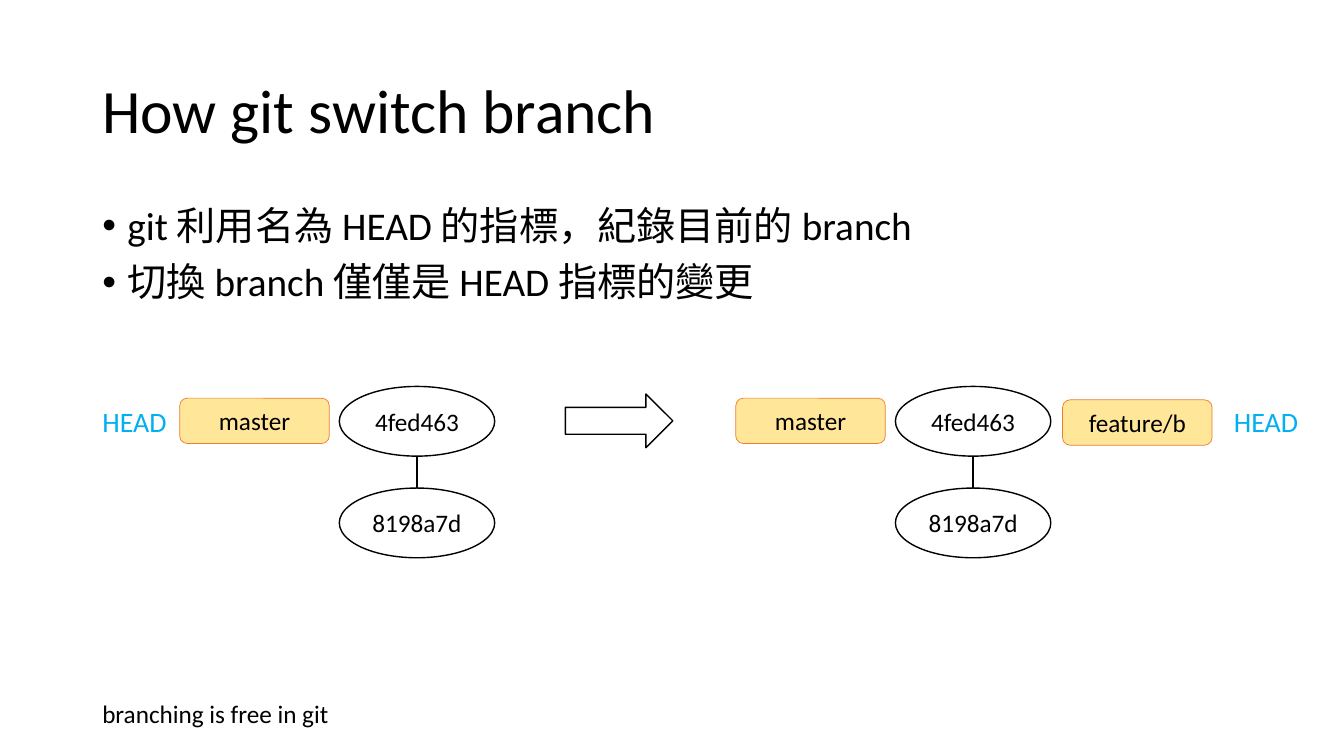
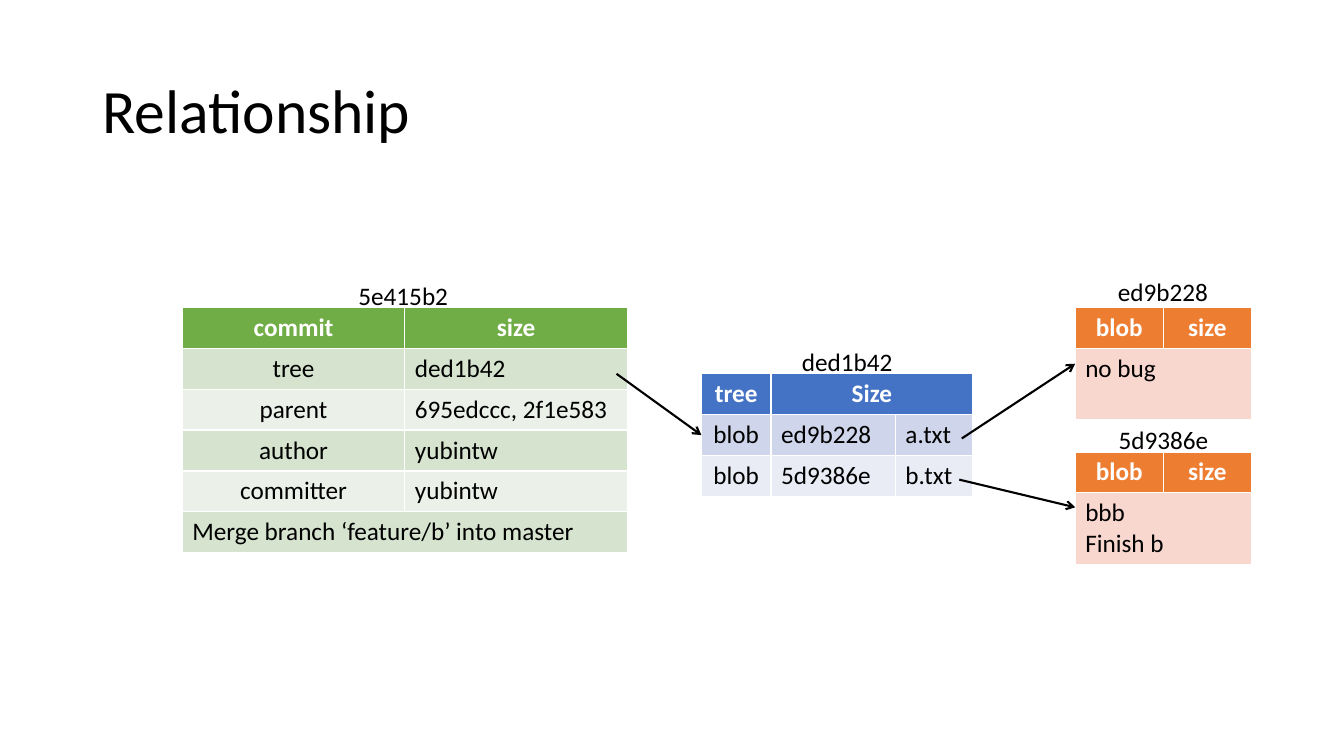
from lxml import etree
from pptx import Presentation
from pptx import util as u
from pptx.dml.color import RGBColor
from pptx.enum import shapes, text
from pptx.oxml import ns

# Both slides use a grid of 160 columns by 90 rows, twelve cells to the inch.
CELL = u.Inches(1) / 12
BLACK, WHITE, CYAN = "000000", "FFFFFF", "00B0F0"
YELLOW, ORANGE, GREEN, BLUE = "FFE699", "ED7D31", "70AD47", "4472C4"
MARGIN = 11
CENTER, LEFT = text.PP_ALIGN.CENTER, text.PP_ALIGN.LEFT
MIDDLE, TOP = text.MSO_ANCHOR.MIDDLE, text.MSO_ANCHOR.TOP
colour = RGBColor.from_string


def write(frame, content, size=18, ink=BLACK, bold=False, alignment=LEFT):
    """Fill a text frame with one paragraph for each line of content."""
    for index, line in enumerate(content.split("\n")):
        paragraph = frame.add_paragraph() if index else frame.paragraphs[0]
        paragraph.alignment = alignment
        run = paragraph.add_run()
        run.text = line
        run.font.color.rgb = colour(ink)
        for name, value in {"name": "Calibri", "size": u.Pt(size), "bold": bold}.items():
            setattr(run.font, name, value)


def add_line(slide, start, end, arrow=False):
    ends = [round(n * CELL) for n in (*start, *end)]
    connector = slide.shapes.add_connector(shapes.MSO_CONNECTOR.STRAIGHT, *ends)
    connector.line.color.rgb = colour(BLACK)
    connector.line.width = u.Pt(1.5)
    if arrow:
        outline = connector.line._get_or_add_ln()
        etree.SubElement(outline, ns.qn("a:tailEnd"), type="arrow")
    etree.SubElement(connector._element.spPr, ns.qn("a:effectLst"))


presentation = Presentation()
presentation.slide_width = round(160 * CELL)
presentation.slide_height = round(90 * CELL)
blank = presentation.slide_layouts[6]
branch_slide = presentation.slides.add_slide(blank)
relation_slide = presentation.slides.add_slide(blank)

# Branch diagram, before and after the switch
commit_left, commit_width, commit_height = 40.4, 18.5, 8.3
upper, lower = 46, 58.1
after = 66.2
ellipse = (shapes.MSO_SHAPE.OVAL, WHITE, BLACK, 1)
tag = (shapes.MSO_SHAPE.ROUNDED_RECTANGLE, YELLOW, ORANGE, 0.5)
arrow = (shapes.MSO_SHAPE.RIGHT_ARROW, WHITE, BLACK, 1)
diagram = [
    (arrow, "", (67.3, 46.9, 12.8, 6.4)),
    (tag, "feature/b", (126.5, 47.6, 17.8, 5.4)),
]
for shift in (0, after):
    diagram += [
        (ellipse, "8198a7d", (commit_left + shift, lower, commit_width, commit_height)),
        (ellipse, "4fed463", (commit_left + shift, upper, commit_width, commit_height)),
        (tag, "master", (21.4 + shift, 47.4, 17.8, 5.4)),
    ]
    middle = commit_left + shift + commit_width / 2
    add_line(branch_slide, (middle, upper + commit_height), (middle, lower))

for (preset, fill, edge, weight), label, box in diagram:
    shape = branch_slide.shapes.add_shape(preset, *(round(n * CELL) for n in box))
    shape.shadow.inherit = False
    shape.fill.solid()
    shape.fill.fore_color.rgb = colour(fill)
    shape.line.color.rgb = colour(edge)
    shape.line.width = u.Pt(weight)
    shape.text_frame.vertical_anchor = MIDDLE
    if label:
        write(shape.text_frame, label, alignment=CENTER)

# Object tables: place, column widths, row heights, header and band fills, cells.
# None continues the cell to its left.
row = 4.87
orange_style = ((10.5, 10.5), (row, 8.5), ORANGE, ("F8D7CE",))
tables = [
    ((21.7, 36.6), (26.5, 26.5), (row,) * 6, GREEN, ("D5E3CF", "EBF1E9"), [
        ("commit", "size"),
        ("tree", "ded1b42"),
        ("parent", "695edccc, 2f1e583"),
        ("author", "yubintw"),
        ("committer", "yubintw"),
        ("Merge branch ‘feature/b’ into master", None),
    ]),
    ((83.5, 44.5), (8.3, 14.8, 9.2), (row,) * 3, BLUE, ("CFD5EA", "E9EBF5"), [
        ("tree", "Size", None),
        ("blob", "ed9b228", "a.txt"),
        ("blob", "5d9386e", "b.txt"),
    ]),
    ((128, 36.6), *orange_style, [("blob", "size"), ("no bug", None)]),
    ((128, 53.8), *orange_style, [("blob", "size"), ("bbb\nFinish b", None)]),
]
for place, widths, heights, header, bands, rows in tables:
    box = [round(n * CELL) for n in (*place, sum(widths), sum(heights))]
    table = relation_slide.shapes.add_table(len(heights), len(widths), *box).table
    table.horz_banding = False
    for column, width in zip(table.columns, widths):
        column.width = round(width * CELL)
    for table_row, height in zip(table.rows, heights):
        table_row.height = round(height * CELL)
    for r, values in enumerate(rows):
        for c, value in enumerate(values):
            cell = table.cell(r, c)
            cell.fill.solid()
            cell.fill.fore_color.rgb = colour(bands[(r - 1) % len(bands)] if r else header)
            if value is None:
                table.cell(r, c - 1).merge(cell)
                continue
            centred = r == 0 or (c == 0 and None not in values)
            write(cell.text_frame, value, ink=BLACK if r else WHITE, bold=r == 0,
                  alignment=CENTER if centred else LEFT)

for start, end in [
    ((114.2, 57.1), (128, 60.4)),
    ((114.5, 52.2), (128, 43.3)),
    ((73.4, 44.5), (83.5, 51.8)),
]:
    add_line(relation_slide, start, end, arrow=True)

# Titles, bullets and labels
title_box = (MARGIN, 4.8, 138, 17.4)
bullets = "git 利用名為 HEAD 的指標，紀錄目前的 branch\n切換 branch 僅僅是 HEAD 指標的變更"
title = {"size": 44}
body = {"size": 28}
head = {"size": 20, "ink": CYAN}
label = {"size": 18}
text_boxes = [
    (branch_slide, "How git switch branch", title_box, title),
    (branch_slide, bullets, (MARGIN, 24, 138, 57.1), body),
    (branch_slide, "HEAD", (MARGIN, 47.6, 10.2, 5.3), head),
    (branch_slide, "HEAD", (145.7, 47.6, 10.2, 5.3), head),
    (branch_slide, "branching is free in git", (MARGIN, 82.6, 29.8, 4.8), label),
    (relation_slide, "Relationship", title_box, title),
    (relation_slide, "5e415b2", (41.5, 32.8, 13.2, 4.8), label),
    (relation_slide, "ed9b228", (131.9, 32.3, 13.2, 4.8), label),
    (relation_slide, "5d9386e", (132, 49.9, 13.2, 4.8), label),
    (relation_slide, "ded1b42", (94.3, 40.6, 13.2, 4.8), label),
]
for slide, content, box, style in text_boxes:
    frame = slide.shapes.add_textbox(*(round(n * CELL) for n in box)).text_frame
    large = style in (title, body)
    frame_format = {
        "word_wrap": large,
        "auto_size": text.MSO_AUTO_SIZE.NONE if large else text.MSO_AUTO_SIZE.SHAPE_TO_FIT_TEXT,
        "vertical_anchor": MIDDLE if style is title else TOP,
    }
    for name, value in frame_format.items():
        setattr(frame, name, value)
    write(frame, content, **style)
    for index, paragraph in enumerate(frame.paragraphs):
        if large:
            paragraph.line_spacing = 0.9
        if style is body:
            paragraph.space_before = u.Pt(10 if index else 0)
            properties = paragraph._p.get_or_add_pPr()
            properties.set("marL", str(u.Inches(0.25)))
            properties.set("indent", str(-u.Inches(0.25)))
            etree.SubElement(properties, ns.qn("a:buFont"), typeface="Arial")
            etree.SubElement(properties, ns.qn("a:buChar"), char="•")

presentation.save("out.pptx")
